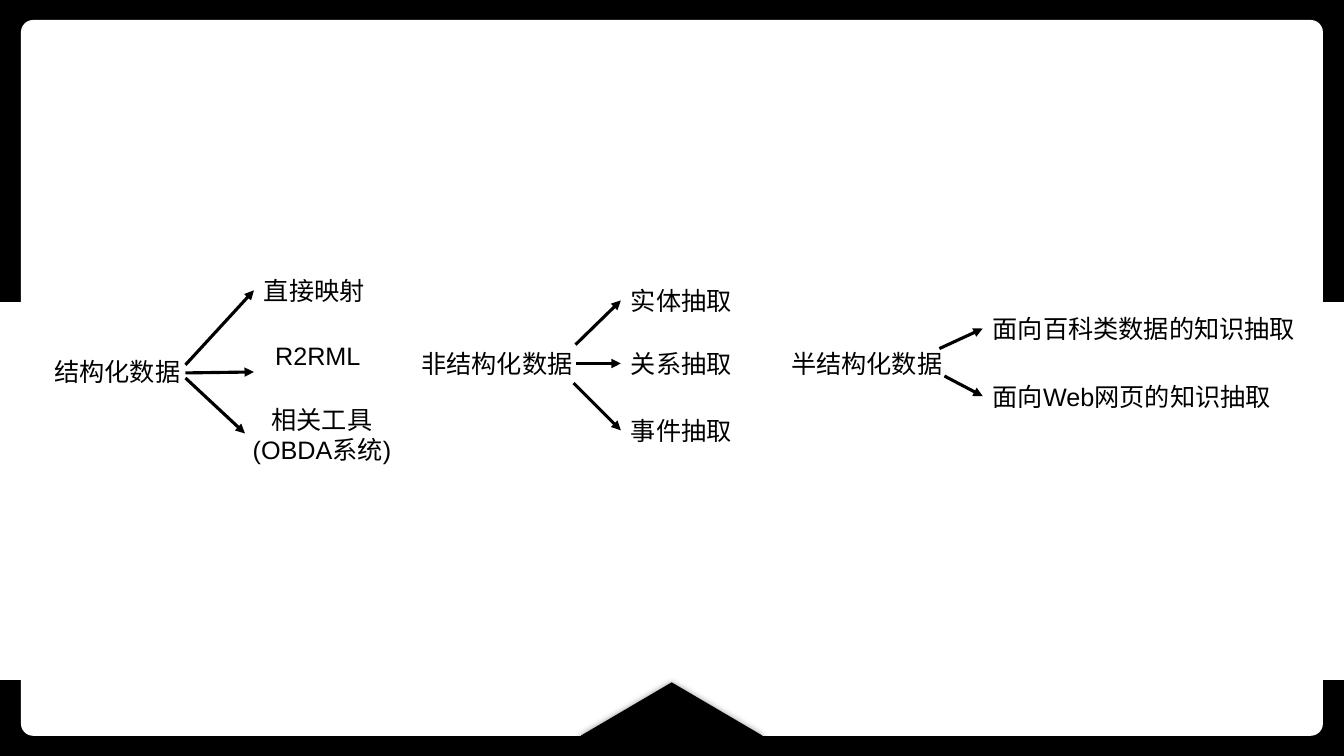
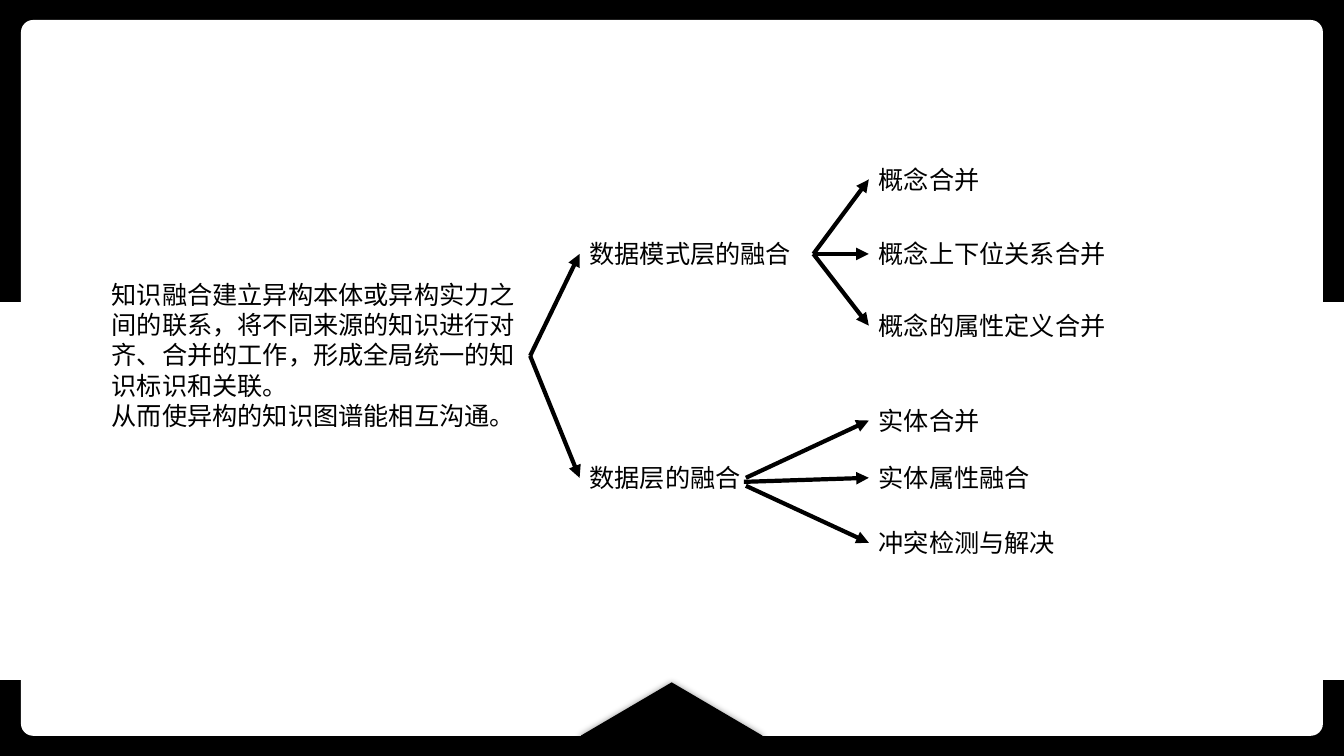
"""Build two slides of branching diagrams on knowledge extraction and fusion."""
from lxml import etree
from pptx import Presentation
from pptx.dml.color import RGBColor
from pptx.enum.shapes import MSO_CONNECTOR, MSO_SHAPE
from pptx.enum.text import MSO_ANCHOR, MSO_AUTO_SIZE, PP_ALIGN
from pptx.oxml.ns import qn
from pptx.util import Pt

STRAIGHT = MSO_CONNECTOR.STRAIGHT
RECTANGLE = MSO_SHAPE.RECTANGLE
ROUNDED = MSO_SHAPE.ROUNDED_RECTANGLE
PENTAGON = MSO_SHAPE.PENTAGON
TOP = MSO_ANCHOR.TOP
GROW = MSO_AUTO_SIZE.SHAPE_TO_FIT_TEXT
LEFT, CENTER = PP_ALIGN.LEFT, PP_ALIGN.CENTER

COLORS = {"ink": "000000", "paper": "FFFFFF"}
FONT, FONT_SIZE = "Arial", 18
WIDTH, HEIGHT = 960, 540
LINE_HEIGHT = 29

EXTRACTION = {
    "arrow_width": 2.25,
    "roots": [
        {"text": "结构化数据", "left": 31.7, "middle": 265.8, "width": 150},
        {"text": "非结构化数据", "left": 293.8, "middle": 260, "width": 150},
        {"text": "半结构化数据", "left": 558, "middle": 259.4, "width": 150},
    ],
    "branches": [
        {"text": "直接映射", "left": 181.4, "middle": 207.4, "width": 104.4,
         "start": (132.5, 260.6)},
        {"text": "R2RML", "left": 189.4, "middle": 254.3, "width": 104.4,
         "start": (132.5, 266.4), "end": (181.4, 265.7)},
        {"text": "相关工具(OBDA系统)", "left": 162, "middle": 310.5, "width": 136,
         "height": 51, "align": CENTER, "start": (132.5, 270), "end": (175, 309.6)},
        {"text": "实体抽取", "left": 443.5, "middle": 214.6, "width": 104.4,
         "start": (411.1, 246.2)},
        {"text": "关系抽取", "left": 443.5, "middle": 259.6, "width": 104.4,
         "start": (411.1, 259.6)},
        {"text": "事件抽取", "left": 443.5, "middle": 307.4, "width": 104.4,
         "start": (409.7, 273.6)},
        {"text": "面向百科类数据的知识抽取", "left": 702, "middle": 234.7, "width": 237,
         "start": (671, 249)},
        {"text": "面向Web网页的知识抽取", "left": 702, "middle": 283, "width": 237,
         "start": (674.6, 268.6)},
    ],
}

INTRO_EDGE = (378.7, 254.2)
SCHEMA_EDGE = (581, 181.4)
FUSION = {
    "arrow_width": 3,
    "roots": [
        {"text": "知识融合建立异构本体或异构实力之间的联系，将不同来源的知识进行对齐、"
                 "合并的工作，形成全局统一的知识标识和关联。\n从而使异构的知识图谱能相互沟通。",
         "left": 72.7, "middle": 254.2, "width": 306.7, "height": 116.6},
    ],
    "branches": [
        {"text": "数据模式层的融合", "left": 414, "middle": 181.4, "width": 167,
         "start": INTRO_EDGE},
        {"text": "数据层的融合", "left": 414, "middle": 341.3, "width": 167,
         "start": INTRO_EDGE},
        {"text": "概念合并", "left": 620.6, "middle": 128.2, "width": 101,
         "start": SCHEMA_EDGE},
        {"text": "概念上下位关系合并", "left": 620.6, "middle": 181.4, "width": 247,
         "start": SCHEMA_EDGE},
        {"text": "概念的属性定义合并", "left": 620.6, "middle": 232.6, "width": 179.3,
         "start": SCHEMA_EDGE},
        {"text": "实体合并", "left": 620.6, "middle": 300.4, "width": 101,
         "start": (532.8, 341.3)},
        {"text": "实体属性融合", "left": 620.6, "middle": 341.3, "width": 136,
         "start": (531.4, 344.2)},
        {"text": "冲突检测与解决", "left": 620.6, "middle": 387.7, "width": 144,
         "start": (532.8, 347)},
    ],
}

FRAME = [
    (RECTANGLE, "ink", (0, 0, WIDTH, 215.4)),
    (RECTANGLE, "ink", (0, 486, WIDTH, 54)),
    (ROUNDED, "paper", (15, 14.3, 930, 511.3)),
    (PENTAGON, "ink", (456, 446.4, 47.5, 129.6)),
]


def color(name):
    return RGBColor.from_string(COLORS[name])


def add_glow(shape):
    properties = shape._element.spPr
    for effects in properties.findall(qn("a:effectLst")):
        properties.remove(effects)
    effects = etree.SubElement(properties, qn("a:effectLst"))
    shadow = etree.SubElement(effects, qn("a:outerShdw"), blurRad=str(Pt(5)),
                              dist="0", dir="0", algn="ctr", rotWithShape="0")
    ink = etree.SubElement(shadow, qn("a:srgbClr"), val=COLORS["ink"])
    etree.SubElement(ink, qn("a:alpha"), val="40000")


def add_frame(slide, layout):
    """Draw the shared frame and place it on the layout."""
    for kind, fill, box in FRAME:
        shape = slide.shapes.add_shape(kind, *map(Pt, box))
        shape.shadow.inherit = False
        shape.fill.solid()
        shape.fill.fore_color.rgb = color(fill)
        if kind == RECTANGLE:
            shape.line.color.rgb = color("ink")
            shape.line.width = Pt(1)
        else:
            shape.line.fill.background()
        if kind == ROUNDED:
            shape.adjustments[0] = 0.017
        if kind == PENTAGON:
            shape.adjustments[0] = 0.8
            shape.rotation = 270
            shape._element.spPr.xfrm.set("flipV", "1")
            add_glow(shape)
        layout.shapes._spTree.append(shape._element)


def add_label(slide, label):
    height = label.get("height", LINE_HEIGHT)
    box = slide.shapes.add_textbox(Pt(label["left"]), Pt(label["middle"] - height / 2),
                                   Pt(label["width"]), Pt(height))
    frame = box.text_frame
    frame.word_wrap = True
    frame.auto_size = GROW
    frame.vertical_anchor = TOP
    frame.text = label["text"]
    for paragraph in frame.paragraphs:
        paragraph.alignment = label.get("align", LEFT)
        paragraph.font.name = FONT
        paragraph.font.size = Pt(FONT_SIZE)
        paragraph.font.color.rgb = color("ink")


def add_arrow(slide, start, end, width):
    arrow = slide.shapes.add_connector(STRAIGHT, *map(Pt, start + end))
    arrow.line.color.rgb = color("ink")
    arrow.line.width = Pt(width)
    etree.SubElement(arrow.line._get_or_add_ln(), qn("a:tailEnd"), type="triangle")
    etree.SubElement(arrow._element.spPr, qn("a:effectLst"))


def add_diagram(slide, diagram):
    for label in diagram["roots"] + diagram["branches"]:
        add_label(slide, label)
    for branch in diagram["branches"]:
        end = branch.get("end", (branch["left"], branch["middle"]))
        add_arrow(slide, branch["start"], end, diagram["arrow_width"])


def main():
    presentation = Presentation()
    presentation.slide_width, presentation.slide_height = Pt(WIDTH), Pt(HEIGHT)
    layout = presentation.slide_layouts[6]
    slides = [presentation.slides.add_slide(layout) for _ in range(2)]
    add_frame(slides[0], layout)
    for slide, diagram in zip(slides, (EXTRACTION, FUSION)):
        add_diagram(slide, diagram)
    presentation.save("out.pptx")


if __name__ == "__main__":
    main()
